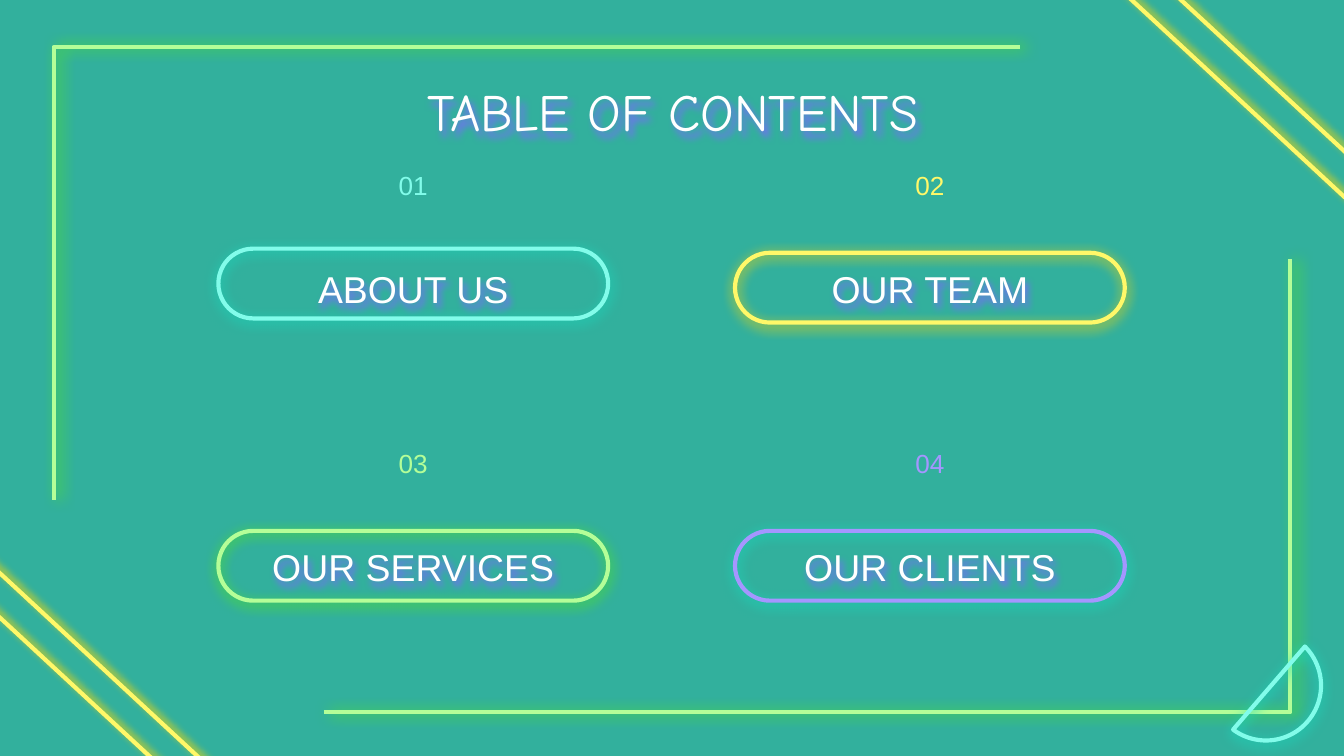
from lxml import etree
from pptx import Presentation
from pptx.dml.color import RGBColor
from pptx.enum.shapes import MSO_CONNECTOR, MSO_SHAPE
from pptx.enum.text import MSO_ANCHOR, MSO_AUTO_SIZE, PP_ALIGN
from pptx.oxml.ns import qn
from pptx.util import Pt

STRAIGHT = MSO_CONNECTOR.STRAIGHT
PILL, CHORD = MSO_SHAPE.ROUNDED_RECTANGLE, MSO_SHAPE.CHORD
TOP, CENTER, NO_FIT = MSO_ANCHOR.TOP, PP_ALIGN.CENTER, MSO_AUTO_SIZE.NONE

COLORS = {
    "background": "32B09D", "white": "FFFFFF",
    "cyan": "82FCEA", "cyan_glow": "19DBBF",
    "yellow": "FFF869", "yellow_glow": "FFD800",
    "green": "B4FE98", "green_glow": "53E71C",
    "purple": "A596FF", "text_glow": "7C68FF",
}
COMPARISON = 3 + 1  # layout with a title and four text areas
PILL_W, PILL_H = 208.8, 37.4


def rgb(name):
    return RGBColor.from_string(COLORS[name])


def glow(sp, color, blur, dist, angle):
    """Give a shape a soft coloured shadow; lengths in points."""
    sp_pr = sp._element.spPr
    for old in sp_pr.findall(qn("a:effectLst")):
        sp_pr.remove(old)
    effects = etree.SubElement(sp_pr, qn("a:effectLst"))
    shadow = etree.SubElement(
        effects, qn("a:outerShdw"), blurRad=str(Pt(blur)), dist=str(Pt(dist)),
        dir=str(angle * 60000), algn="bl", rotWithShape="0")
    etree.SubElement(shadow, qn("a:srgbClr"), val=COLORS[color])


def neon(sp, color, glow_color, blur, dist, angle):
    """Draw a shape as a glowing outline."""
    sp.line.color.rgb = rgb(color)
    sp.line.width = Pt(2.25)
    if hasattr(sp, "fill"):
        sp.fill.background()
    glow(sp, glow_color, blur, dist, angle)


def write(sp, text, box, size, color="white", font="Arial", inset=7.2):
    """Place a text shape in the box and fill it with one centred line."""
    sp.left, sp.top, sp.width, sp.height = (Pt(v) for v in box)
    tf = sp.text_frame
    tf.word_wrap, tf.auto_size, tf.vertical_anchor = True, NO_FIT, TOP
    tf.margin_left = tf.margin_right = Pt(7.2)
    tf.margin_top = tf.margin_bottom = Pt(inset)
    p = tf.paragraphs[0]
    p.alignment, p.space_before = CENTER, Pt(0)
    p_pr = p._p.get_or_add_pPr()
    p_pr.set("marL", "0")
    p_pr.set("indent", "0")
    etree.SubElement(p_pr, qn("a:buNone"))
    r = p.add_run()
    r.text = text
    r.font.size, r.font.name, r.font.bold = Pt(size), font, False
    r.font.color.rgb = rgb(color)


def add_stripes(s, x, y, gap):
    """Two parallel diagonal lines across a corner."""
    for top in (y + gap, y):
        line = s.shapes.add_connector(
            STRAIGHT, Pt(x), Pt(top), Pt(x + 159.1), Pt(top + 147.4))
        neon(line, "yellow", "yellow_glow", 4.5, 2.2, 0)


def add_bracket(s, start, corner, end):
    """Open L-shaped half of the frame."""
    points = [(Pt(x), Pt(y)) for x, y in (start, corner, end)]
    builder = s.shapes.build_freeform(*points[0])
    builder.add_line_segments(points[1:], close=False)
    neon(builder.convert_to_shape(), "green", "green_glow", 7.9, 3, 0)


def add_chord(s, x, y, size):
    """Half-disc ornament in the lower corner."""
    sp = s.shapes.add_shape(CHORD, Pt(x), Pt(y), Pt(size), Pt(size))
    sp.adjustments[0], sp.adjustments[1] = 27, 130
    sp.rotation = 270
    neon(sp, "cyan", "cyan_glow", 6.8, 1.5, 90)


def add_section(s, ph, x, y, number, label, color, glow_color, lift=0):
    """Number above a pill that holds the section's name."""
    center = x + PILL_W / 2
    pill_top = y + 48.3
    sp = s.shapes.add_shape(
        PILL, Pt(x), Pt(pill_top - lift), Pt(PILL_W), Pt(PILL_H))
    sp.adjustments[0] = 0.5
    neon(sp, color, glow_color, 6.8, 1.5, 88)

    s.shapes._spTree.append(ph._element)  # bring the name in front of the pill
    write(ph, label, (center - 97.9, pill_top, 195.8, 45.4), 20)
    glow(ph, "text_glow", 4, 3, 60)

    box = s.shapes.add_textbox(0, 0, 0, 0)
    write(box, number, (center - 36, y, 72, 37.4), 14, color, inset=3.6)


def main():
    prs = Presentation()
    prs.slide_width, prs.slide_height = Pt(720), Pt(405)
    s = prs.slides.add_slide(prs.slide_layouts[COMPARISON])
    s.background.fill.solid()
    s.background.fill.fore_color.rgb = rgb("background")
    title, *names = s.placeholders

    # Decoration
    add_stripes(s, 584.6, -44.6, 24.5)
    add_stripes(s, -23.8, 285.1, 23.8)
    add_bracket(s, (546.5, 25.2), (28.8, 25.2), (28.8, 267.8))
    add_bracket(s, (173.5, 381.6), (691.2, 381.6), (691.2, 139))
    add_chord(s, 648.7, 337.7, 59)

    # Title
    s.shapes._spTree.append(title._element)
    write(title, "TABLE OF CONTENTS", (56.9, 35.3, 607, 45.4), 28,
          font="Comic Neue")
    glow(title, "text_glow", 4, 3, 60)

    # Sections in a grid of two by two
    sections = [
        ("01", "ABOUT US", "cyan", "cyan_glow", 2.2),
        ("02", "OUR TEAM", "yellow", "yellow_glow", 0),
        ("03", "OUR SERVICES", "green", "green_glow", 0),
        ("04", "OUR CLIENTS", "purple", "cyan_glow", 0),
    ]
    for i, (ph, section) in enumerate(zip(names, sections)):
        row, col = divmod(i, 2)
        add_section(s, ph, 117 + 276.8 * col, 87.1 + 149 * row, *section)

    prs.save("out.pptx")


if __name__ == "__main__":
    main()
